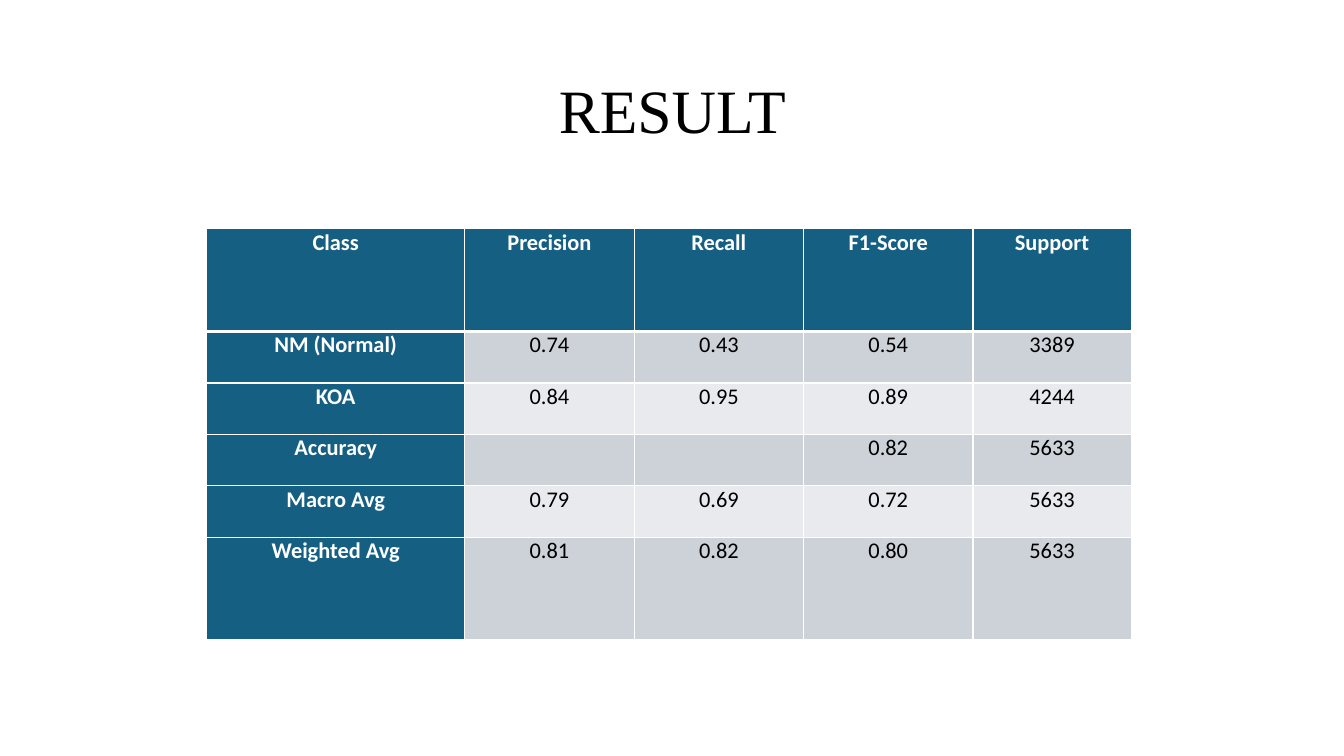
from lxml.etree import SubElement
from pptx import Presentation
from pptx.dml.color import RGBColor
from pptx.enum.text import MSO_ANCHOR, PP_ALIGN
from pptx.oxml.ns import qn
from pptx.util import Inches, Pt

TITLE = "RESULT"
ROWS = [
    ("Class", "Precision", "Recall", "F1-Score", "Support"),
    ("NM (Normal)", "0.74", "0.43", "0.54", "3389"),
    ("KOA", "0.84", "0.95", "0.89", "4244"),
    ("Accuracy", "", "", "0.82", "5633"),
    ("Macro Avg", "0.79", "0.69", "0.72", "5633"),
    ("Weighted Avg", "0.81", "0.82", "0.80", "5633"),
]
WIDTHS = [2.56, 1.68, 1.68, 1.68, 1.57]
HEIGHTS = [1.02, 0.51, 0.51, 0.51, 0.51, 1.02]
COLORS = {"head": "156082", "odd": "CCD2D8", "even": "E8EAED",
          "white": "FFFFFF", "black": "000000"}


def style(para, font, size, color, bold=False):
    para.alignment = PP_ALIGN.CENTER
    para.font.name = font
    para.font.size = Pt(size)
    para.font.bold = bold
    para.font.color.rgb = RGBColor.from_string(COLORS[color])


def add_borders(cell, row):
    """Draw thin white lines, with a thick one below the header row."""
    props = cell._tc.get_or_add_tcPr()
    widths = {"L": 1, "R": 1, "T": 3 if row == 1 else 1, "B": 3 if row == 0 else 1}
    for side, width in widths.items():
        line = SubElement(props, qn(f"a:ln{side}"), w=str(Pt(width)))
        fill = SubElement(line, qn("a:solidFill"))
        SubElement(fill, qn("a:srgbClr"), val=COLORS["white"])


def fill_cell(cell, text, row, col):
    head = row == 0 or col == 0
    cell.text = text
    cell.margin_left = cell.margin_right = Inches(0.07)
    cell.margin_top = cell.margin_bottom = 0
    style(cell.text_frame.paragraphs[0], "Calibri", 16,
          "white" if head else "black", head)
    add_borders(cell, row)
    cell.fill.solid()
    shade = "head" if head else "odd" if row % 2 else "even"
    cell.fill.fore_color.rgb = RGBColor.from_string(COLORS[shade])


def add_title(slide):
    box = slide.shapes.add_textbox(Inches(0.92), Inches(0.4), Inches(11.5), Inches(1.45))
    frame = box.text_frame
    frame.word_wrap = True
    frame.vertical_anchor = MSO_ANCHOR.MIDDLE
    frame.text = TITLE
    para = frame.paragraphs[0]
    para.line_spacing = 0.9
    style(para, "Times New Roman", 44, "black")


def add_scores(slide):
    table = slide.shapes.add_table(
        len(ROWS), len(WIDTHS), Inches(2.05), Inches(2.27),
        Inches(sum(WIDTHS)), Inches(sum(HEIGHTS))).table
    table.first_col = True
    for column, width in zip(table.columns, WIDTHS):
        column.width = Inches(width)
    for row, (texts, height) in enumerate(zip(ROWS, HEIGHTS)):
        table.rows[row].height = Inches(height)
        for col, text in enumerate(texts):
            fill_cell(table.cell(row, col), text, row, col)


def main():
    deck = Presentation()
    deck.slide_width, deck.slide_height = Inches(13.33), Inches(7.5)
    slide = deck.slides.add_slide(deck.slide_layouts[6])
    add_title(slide)
    add_scores(slide)
    deck.save("out.pptx")


if __name__ == "__main__":
    main()
